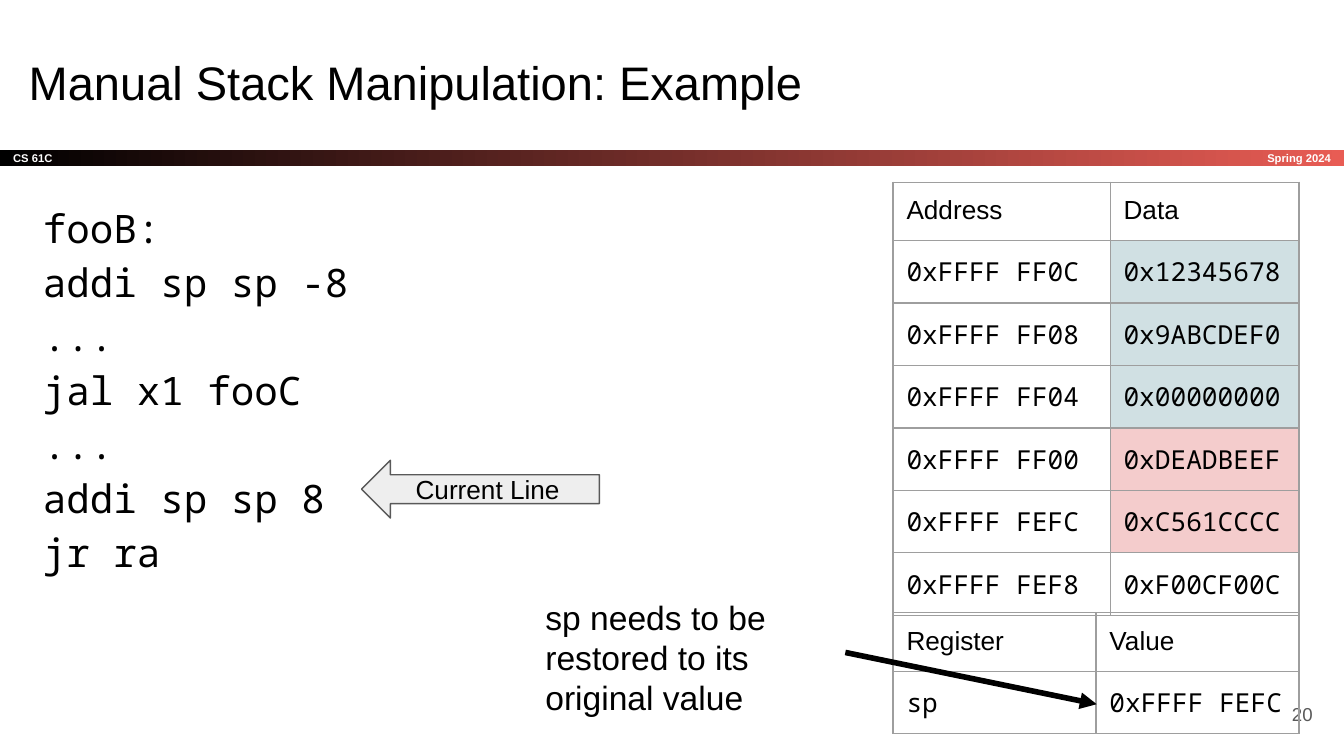
from lxml import etree
from pptx import Presentation
from pptx import util as u
from pptx.dml.color import RGBColor
from pptx.enum import shapes, text
from pptx.oxml import ns

PX = 4572  # 200 px to the inch
INSET = 20 * PX
SANS, MONO = "Arial", "Noto Sans Mono"
COLORS = {
    "black": "000000", "white": "FFFFFF", "red": "E85C54", "gray": "595959",
    "arrow": "EEEEEE", "border": "9E9E9E", "blue": "D0E0E3", "pink": "F4CCCC",
}
LEFT, CENTER, RIGHT = text.PP_ALIGN.LEFT, text.PP_ALIGN.CENTER, text.PP_ALIGN.RIGHT
TOP, MIDDLE = text.MSO_ANCHOR.TOP, text.MSO_ANCHOR.MIDDLE

CODE = ["fooB:", "addi sp sp -8", "...", "jal x1 fooC", "...", "addi sp sp 8", "jr ra"]
STACK = [
    ("Address", "Data", None),
    ("0xFFFF FF0C", "0x12345678", "blue"),
    ("0xFFFF FF08", "0x9ABCDEF0", "blue"),
    ("0xFFFF FF04", "0x00000000", "blue"),
    ("0xFFFF FF00", "0xDEADBEEF", "pink"),
    ("0xFFFF FEFC", "0xC561CCCC", "pink"),
    ("0xFFFF FEF8", "0xF00CF00C", None),
]
REGISTERS = [("Register", "Value", None), ("sp", "0xFFFF FEFC", None)]
HEADER_HEIGHT, ROW_HEIGHT = 84, 93


def rgb(name):
    return RGBColor.from_string(COLORS[name])


def emu(*lengths):
    return [u.Emu(length * PX) for length in lengths]


def set_insets(holder):
    holder.margin_left = holder.margin_right = INSET
    holder.margin_top = holder.margin_bottom = INSET


def write(frame, words, size, font=SANS, color="black", align=LEFT, bold=False):
    para = frame.paragraphs[0]
    para.text = words
    para.alignment = align
    para.font.size, para.font.name, para.font.bold = u.Pt(size), font, bold
    para.font.color.rgb = rgb(color)


def write_shape(shape, words, size, anchor=TOP, **style):
    frame = shape.text_frame
    frame.word_wrap = True
    frame.vertical_anchor = anchor
    set_insets(frame)
    write(frame, words, size, **style)


def add_text(page, box, words, size, **style):
    shape = page.shapes.add_textbox(*emu(*box))
    write_shape(shape, words, size, **style)
    return shape


def add_course_bar(page, left, top, width, height):
    bar = page.shapes.add_shape(
        shapes.MSO_SHAPE.RECTANGLE, *emu(left, top, width, height))
    bar.shadow.inherit = False
    bar.line.fill.background()
    bar.fill.gradient()
    bar.fill.gradient_angle = 0
    for stop, color in zip(bar.fill.gradient_stops, ("black", "red")):
        stop.color.rgb = rgb(color)
    label = {"size": 6, "color": "white", "anchor": MIDDLE, "bold": True}
    write_shape(bar, "CS 61C", **label)
    add_text(page, (left + width - 332, top, 332, height), "Spring 2024", align=RIGHT, **label)


def add_code(page, left, top, width, height):
    shape = add_text(page, (left, top, width, height), "\n".join(CODE), 21, font=MONO)
    para = shape.text_frame.paragraphs[0]
    para.line_spacing = 1.15
    para.space_after = u.Pt(12)


def add_line_marker(page, left, top, width, height):
    arrow = page.shapes.add_shape(
        shapes.MSO_SHAPE.LEFT_ARROW, *emu(left, top, width, height))
    arrow.shadow.inherit = False
    arrow.fill.solid()
    arrow.fill.fore_color.rgb = rgb("arrow")
    arrow.line.color.rgb = rgb("gray")
    arrow.line.width = u.Pt(0.75)
    write_shape(arrow, "Current Line", 14, align=CENTER, anchor=MIDDLE)


def add_borders(cell):
    properties = cell._tc.get_or_add_tcPr()
    for side in ("lnL", "lnR", "lnT", "lnB"):
        line = etree.SubElement(properties, ns.qn("a:" + side), w=str(u.Pt(0.75)))
        fill = etree.SubElement(line, ns.qn("a:solidFill"))
        etree.SubElement(fill, ns.qn("a:srgbClr"), val=COLORS["border"])


def add_memory_table(page, left, top, columns, rows):
    heights = [HEADER_HEIGHT] + [ROW_HEIGHT] * (len(rows) - 1)
    size = emu(left, top, sum(columns), sum(heights))
    table = page.shapes.add_table(len(rows), len(columns), *size).table
    table.first_row = table.horz_banding = False
    for column, width in zip(table.columns, emu(*columns)):
        column.width = width
    for row, height in zip(table.rows, emu(*heights)):
        row.height = height
    for row, (name, value, shade) in enumerate(rows):
        for column, (words, color) in enumerate([(name, None), (value, shade)]):
            cell = table.cell(row, column)
            write(cell.text_frame, words, 14, font=MONO if row else SANS)
            set_insets(cell)
            add_borders(cell)
            if color:
                cell.fill.solid()
                cell.fill.fore_color.rgb = rgb(color)
            else:
                cell.fill.background()


def add_note(page, left, top, width, height):
    note = add_text(page, (left, top, width, height),
                    "sp needs to be restored to its original value", 18)
    # Pointer from the note to the value of sp
    ends = emu(left + width, top + height // 2, left + width + 374, top + 180)
    pointer = page.shapes.add_connector(shapes.MSO_CONNECTOR.STRAIGHT, *ends)
    pointer.begin_connect(note, 3)
    pointer.line.color.rgb = rgb("black")
    pointer.line.width = u.Pt(3)
    etree.SubElement(pointer.line._get_or_add_ln(), ns.qn("a:tailEnd"), type="triangle")
    etree.SubElement(pointer._element.spPr, ns.qn("a:effectLst"))


def main():
    deck = Presentation()
    deck.slide_width, deck.slide_height = emu(2000, 1125)
    page = deck.slides.add_slide(deck.slide_layouts[6])

    # Header
    add_course_bar(page, 0, 223, 2000, 24)
    add_text(page, (23, 60, 1864, 126), "Manual Stack Manipulation: Example", 25.2)

    # Code and page number
    add_code(page, 44, 273, 1082, 824)
    add_text(page, (1853, 1020, 120, 86), "20", 10, color="gray", align=RIGHT, anchor=MIDDLE)

    # Stack memory and registers
    add_memory_table(page, 1329, 271, (323, 281), STACK)
    add_memory_table(page, 1329, 912, (302, 302), REGISTERS)

    # Annotations
    add_line_marker(page, 538, 685, 354, 86)
    add_note(page, 792, 868, 466, 206)

    deck.save("out.pptx")


if __name__ == "__main__":
    main()
